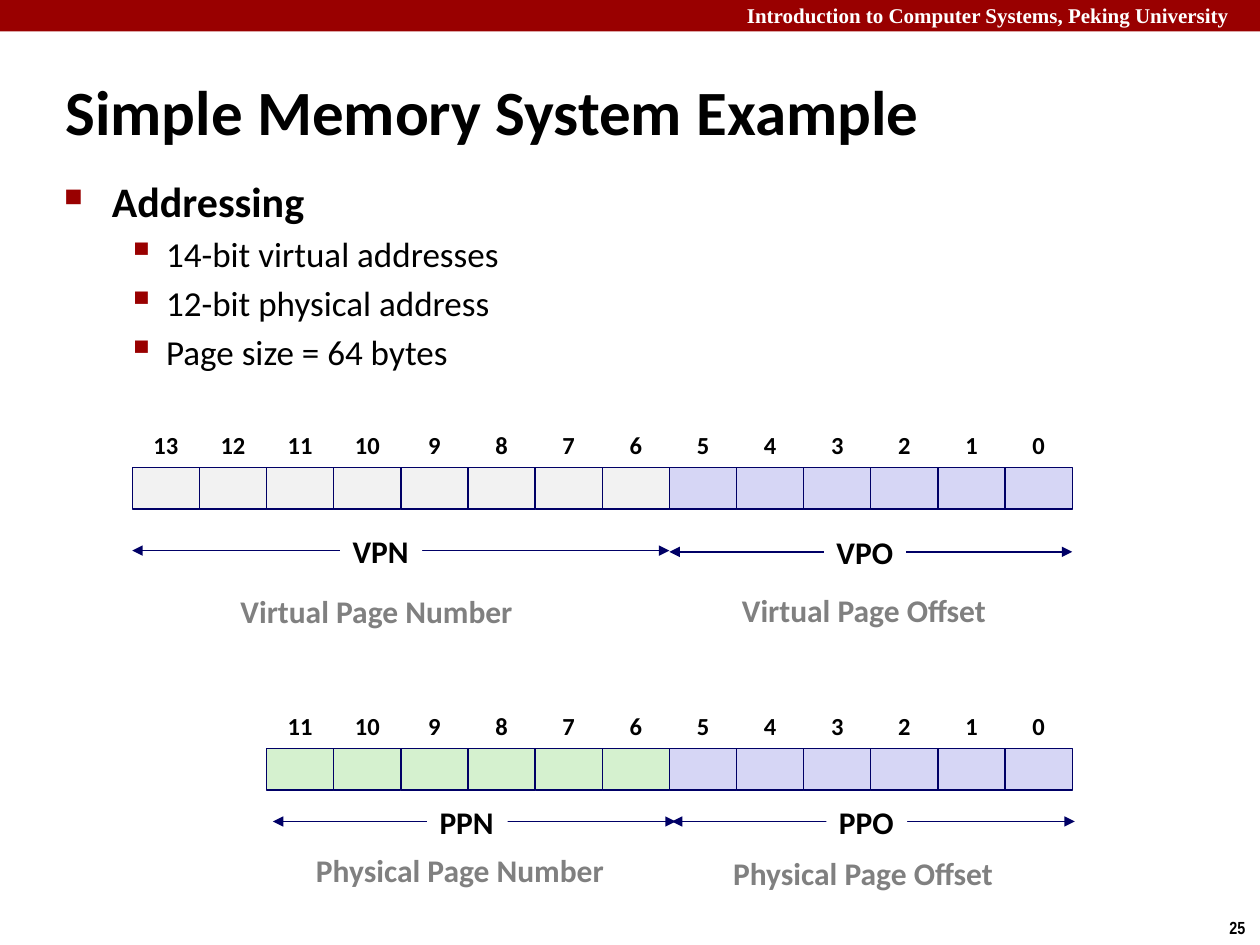
from lxml.etree import SubElement
from pptx import Presentation
from pptx.dml.color import RGBColor
from pptx.enum.shapes import MSO_CONNECTOR, MSO_SHAPE
from pptx.enum.text import MSO_ANCHOR, MSO_AUTO_SIZE, PP_ALIGN
from pptx.oxml.ns import qn
from pptx.util import Inches, Pt

BLACK = RGBColor(0x00, 0x00, 0x00)
WHITE = RGBColor(0xFF, 0xFF, 0xFF)
RED = RGBColor(0x99, 0x00, 0x00)
NAVY = RGBColor(0x00, 0x00, 0x66)
GRAY = RGBColor(0x80, 0x80, 0x80)
PALE_GRAY = RGBColor(0xF2, 0xF2, 0xF2)
PALE_BLUE = RGBColor(0xD6, 0xD6, 0xF5)
PALE_GREEN = RGBColor(0xD5, 0xF1, 0xCF)

# Content
HEADER = "Introduction to Computer Systems, Peking University"
TITLE = "Simple Memory System Example"
PAGE_NUMBER = "25"
BULLETS = [
    ("Addressing", 0),
    ("14-bit virtual addresses", 1),
    ("12-bit physical address", 1),
    ("Page size = 64 bytes", 1),
]
# Per level: mark, mark size %, left margin, hanging indent, points, bold, space before
LEVELS = [
    ("■", 60, 0.38, 0.38, 24, True, 0),
    ("▪", 110, 0.81, 0.31, 20, False, 4),
]
OFFSET_BITS = 6
# Each address: number of bits, top of its cells, colour of its page number bits
ADDRESSES = [(14, 3.71, PALE_GRAY), (12, 5.94, PALE_GREEN)]
# Each field: name, first bit, last bit, sideways shift, arrow height, name box left and width
FIELDS = [
    ("VPO", 5, 0, 0, 4.38, 6.54, 0.65),
    ("PPO", 5, 0, 0.02, 6.52, 6.56, 0.64),
    ("PPN", 11, 6, 0.05, 6.52, 3.39, 0.64),
    ("VPN", 13, 6, 0, 4.37, 2.70, 0.65),
]
CAPTIONS = [
    ("Virtual Page Number", 1.81, 4.69, 2.38),
    ("Virtual Page Offset", 5.79, 4.68, 2.16),
    ("Physical Page Number", 2.41, 6.74, 2.50),
    ("Physical Page Offset", 5.72, 6.77, 2.29),
]

# Bit grid: column 0 holds bit 13
MAX_BITS = 14
GRID_LEFT, GRID_RIGHT = 1.05, 8.51
COLUMN = (GRID_RIGHT - GRID_LEFT) / MAX_BITS
ROW = 0.33
LABEL_HEIGHT = 0.36


def bit_left(bit):
    return GRID_LEFT + (MAX_BITS - 1 - bit) * COLUMN


def write(paragraph, text, size=18, color=BLACK, bold=True, font="Calibri",
          align=PP_ALIGN.LEFT, spacing=None):
    paragraph.alignment = align
    paragraph.line_spacing = spacing
    span = paragraph.add_run()
    span.text = text
    span.font.size, span.font.bold, span.font.name = Pt(size), bold, font
    span.font.color.rgb = color


def add_text(shapes, text, left, top, width, height, anchor=MSO_ANCHOR.TOP,
             wrap=False, grow=True, fill=None, **style):
    box = shapes.add_textbox(Inches(left), Inches(top), Inches(width), Inches(height))
    frame = box.text_frame
    frame.word_wrap = wrap
    frame.vertical_anchor = anchor
    frame.auto_size = MSO_AUTO_SIZE.SHAPE_TO_FIT_TEXT if grow else MSO_AUTO_SIZE.NONE
    if fill is not None:
        box.fill.solid()
        box.fill.fore_color.rgb = fill
    if text:
        write(frame.paragraphs[0], text, **style)
    return box


def add_rectangle(shapes, left, top, width, height, fill, line=None):
    shape = shapes.add_shape(MSO_SHAPE.RECTANGLE, Inches(left), Inches(top),
                             Inches(width), Inches(height))
    shape.shadow.inherit = False
    shape.fill.solid()
    shape.fill.fore_color.rgb = fill
    if line is None:
        shape.line.fill.background()
    else:
        shape.line.color.rgb = line
        shape.line.width = Pt(0.75)


def add_double_arrow(shapes, left, right, height):
    arrow = shapes.add_connector(MSO_CONNECTOR.STRAIGHT, Inches(left), Inches(height),
                                 Inches(right), Inches(height))
    arrow.line.color.rgb = NAVY
    arrow.line.width = Pt(0.75)
    outline = arrow.line._get_or_add_ln()
    for end in ("a:headEnd", "a:tailEnd"):
        SubElement(outline, qn(end), type="triangle")
    SubElement(arrow._element.spPr, qn("a:effectLst"))


def add_bullet(paragraph, text, level):
    mark, mark_size, margin, hanging, size, bold, before = LEVELS[level]
    paragraph.level = level
    properties = paragraph._p.get_or_add_pPr()
    properties.set("marL", str(Inches(margin)))
    properties.set("indent", str(-Inches(hanging)))
    color = SubElement(properties, qn("a:buClr"))
    SubElement(color, qn("a:srgbClr"), val=str(RED))
    SubElement(properties, qn("a:buSzPct"), val=str(mark_size * 1000))
    SubElement(properties, qn("a:buChar"), char=mark)
    paragraph.space_before = Pt(before)
    write(paragraph, text, size=size, bold=bold)


def main():
    deck = Presentation()
    deck.slide_width, deck.slide_height = Inches(10), Inches(7.5)
    page = deck.slides.add_slide(deck.slide_layouts[5])
    shapes = page.shapes

    # Header band and page number
    add_rectangle(shapes, 0, 0, 10, 0.25, RED)
    add_text(shapes, HEADER, 5.83, -0.03, 4.24, 0.3, wrap=True, size=12,
             color=WHITE, font="Times New Roman")
    add_text(shapes, PAGE_NUMBER, 9.66, 7.23, 0.34, 0.27, size=10, font="Arial Narrow")

    # Title
    title = shapes.title
    title.left, title.top = Inches(0.42), Inches(0.56)
    title.width, title.height = Inches(7.99), Inches(0.63)
    title.text_frame.vertical_anchor = MSO_ANCHOR.MIDDLE
    title.text_frame.auto_size = MSO_AUTO_SIZE.NONE
    write(title.text_frame.paragraphs[0], TITLE, size=36)

    # Bullets
    frame = add_text(shapes, "", 0.41, 1.34, 9.09, 1.73, wrap=True, grow=False).text_frame
    for index, (text, level) in enumerate(BULLETS):
        paragraph = frame.add_paragraph() if index else frame.paragraphs[0]
        add_bullet(paragraph, text, level)

    # Address bits with their numbers above
    for bits, top, number_color in ADDRESSES:
        for bit in reversed(range(bits)):
            fill = PALE_BLUE if bit < OFFSET_BITS else number_color
            add_rectangle(shapes, bit_left(bit), top, COLUMN, ROW, fill, NAVY)
            add_text(shapes, str(bit), bit_left(bit), top - ROW, COLUMN, ROW,
                     anchor=MSO_ANCHOR.MIDDLE, grow=False, size=14,
                     align=PP_ALIGN.CENTER, spacing=0.88)

    # Field arrows, each grouped with its name
    for name, first, last, shift, height, left, width in FIELDS:
        group = shapes.add_group_shape().shapes
        add_double_arrow(group, bit_left(first) + shift, bit_left(last - 1) + shift, height)
        add_text(group, name, left, height - 0.16, width, LABEL_HEIGHT,
                 fill=WHITE, spacing=0.88)

    # Field captions
    for text, left, top, width in CAPTIONS:
        add_text(shapes, text, left, top, width, LABEL_HEIGHT, color=GRAY, spacing=0.88)

    deck.save("out.pptx")


if __name__ == "__main__":
    main()
